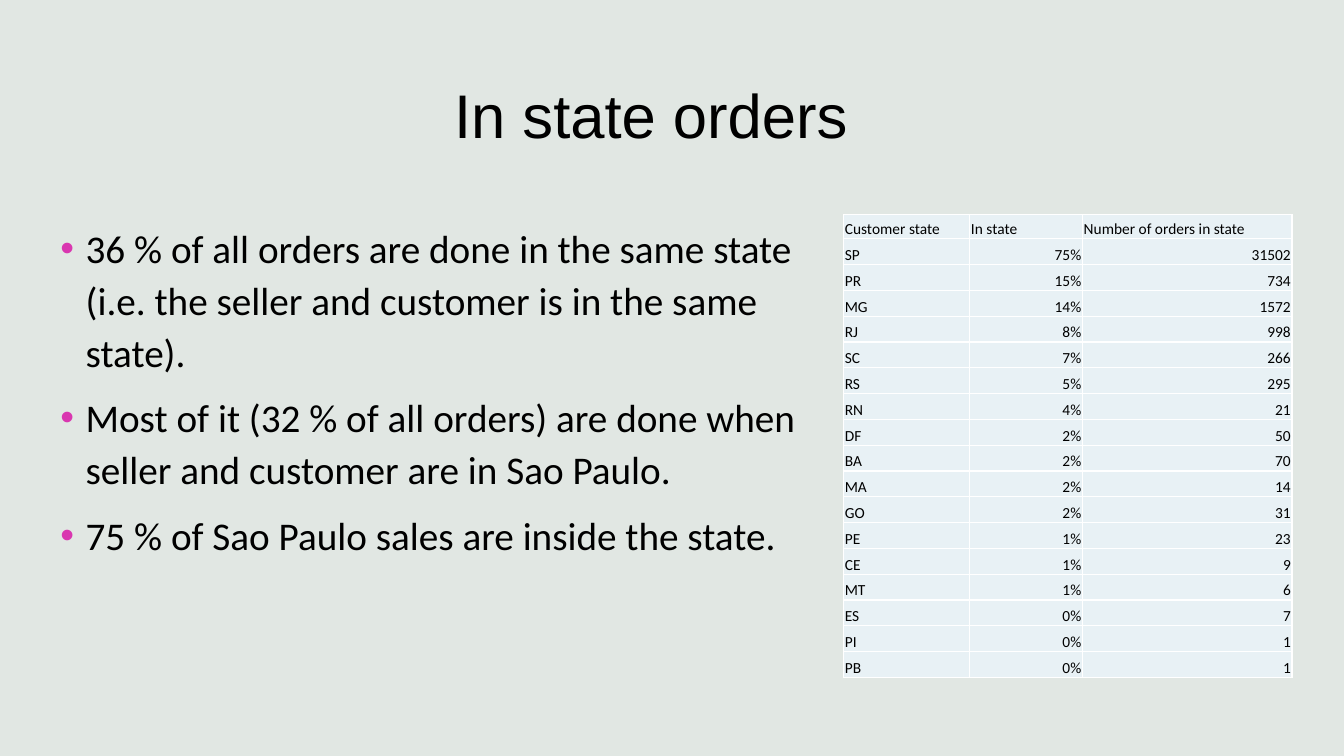
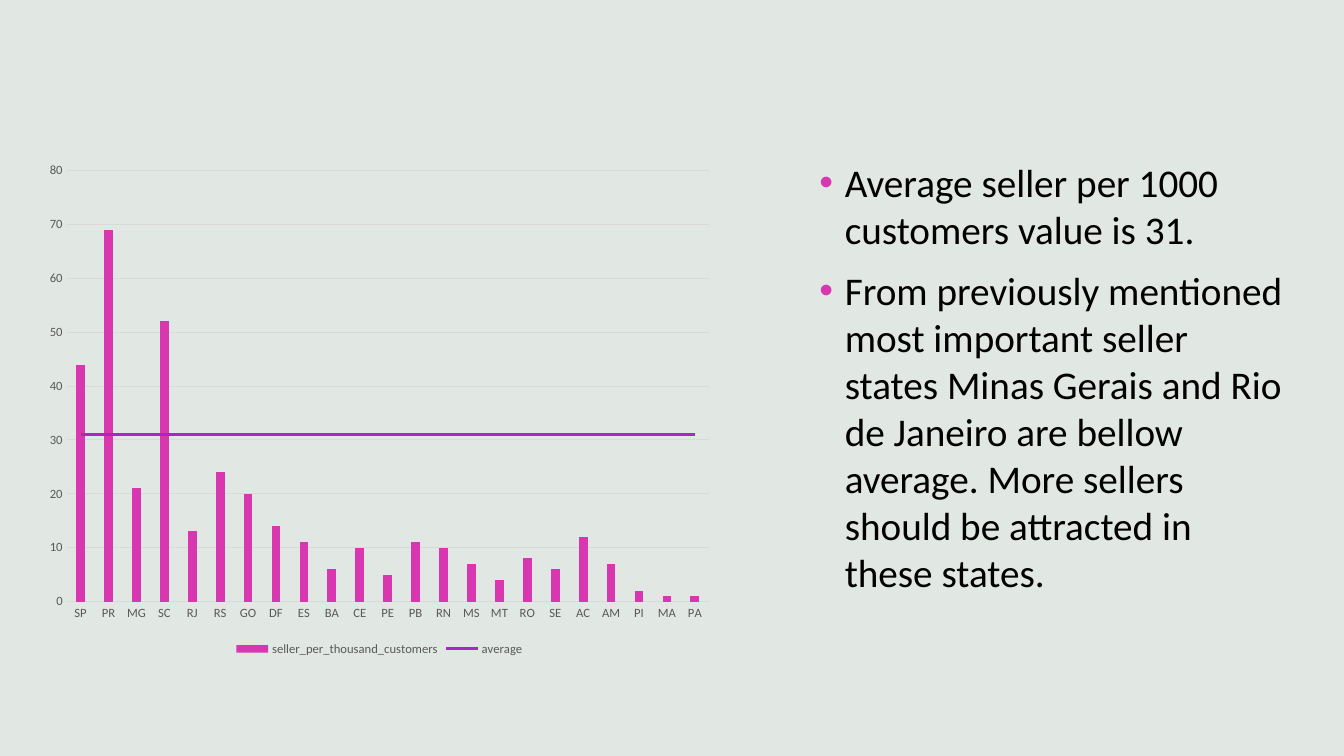
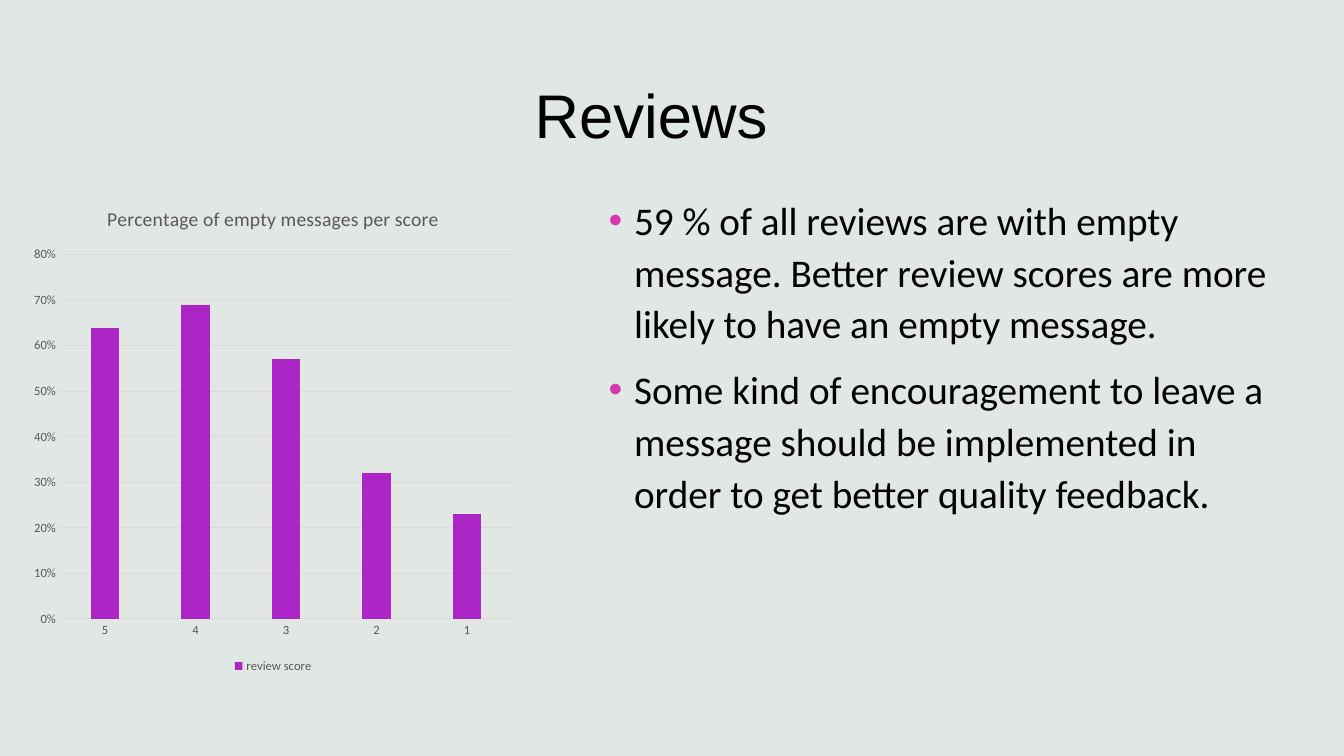
"""Build three slides on in-state orders, sellers per customer and reviews."""
from lxml.etree import SubElement
from pptx import Presentation
from pptx.chart.data import CategoryChartData
from pptx.dml.color import RGBColor
from pptx.enum.chart import XL_CHART_TYPE, XL_LEGEND_POSITION, XL_MARKER_STYLE, XL_TICK_MARK
from pptx.enum.text import MSO_ANCHOR, PP_ALIGN
from pptx.oxml import parse_xml
from pptx.oxml.ns import nsdecls, qn
from pptx.util import Cm, Pt

HUES = {"back": "E1E7E3", "ink": "000000", "pink": "D937B0", "plum": "AC25C7",
        "gray": "595959", "grid": "D9D9D9", "cell": "E8F1F5", "edge": "FFFFFF"}
RGB = {name: RGBColor.from_string(code) for name, code in HUES.items()}

HEAD = {"frame": {"word_wrap": True, "vertical_anchor": MSO_ANCHOR.MIDDLE},
        "para": {"alignment": PP_ALIGN.CENTER},
        "font": {"name": "Arial", "size": Pt(44)}}
BODY = {"frame": {"word_wrap": True, "vertical_anchor": MSO_ANCHOR.TOP},
        "para": {"space_before": Pt(10), "line_spacing": 1.1},
        "font": {"name": "Calibri", "size": Pt(28)}, "mark": "pink"}
TIGHT = BODY | {"para": {"space_before": Pt(10), "line_spacing": 1.0}}
CELL = {"vertical_anchor": MSO_ANCHOR.BOTTOM, "margin_left": Cm(0.03),
        "margin_right": Cm(0.03), "margin_top": Cm(0.03), "margin_bottom": Cm(0)}
TITLE = (1.27, 1.02, 30.28, 3.68)


def write(slide, box, lines, look):
    frame = slide.shapes.add_textbox(*map(Cm, box)).text_frame
    for key, value in look["frame"].items():
        setattr(frame, key, value)
    frame.text = "\n".join(lines)
    for para in frame.paragraphs:
        for key, value in look["para"].items():
            setattr(para, key, value)
        font = para.runs[0].font
        for key, value in look["font"].items():
            setattr(font, key, value)
        font.color.rgb = RGB["ink"]
        if "mark" in look:
            props = para._p.get_or_add_pPr()
            props.set("marL", str(Cm(0.64)))
            props.set("indent", str(-Cm(0.64)))
            tint = SubElement(props, qn("a:buClr"))
            SubElement(tint, qn("a:srgbClr"), val=HUES[look["mark"]])
            SubElement(props, qn("a:buFont"), typeface="Arial")
            SubElement(props, qn("a:buChar"), char="•")


def draw(slide, box, cats, rows, hue, form):
    data = CategoryChartData(number_format=form)
    data.categories = cats
    for name, values in rows:
        data.add_series(name, values)
    chart = slide.shapes.add_chart(
        XL_CHART_TYPE.COLUMN_CLUSTERED, *map(Cm, box), data).chart
    chart.has_title = False
    chart.has_legend = True
    chart.legend.position = XL_LEGEND_POSITION.BOTTOM
    chart.legend.include_in_layout = False
    chart.font.name, chart.font.size = "Calibri", Pt(10)
    cat, val = chart.category_axis, chart.value_axis
    for axis in (cat, val):
        axis.major_tick_mark = axis.minor_tick_mark = XL_TICK_MARK.NONE
    for font in (cat.tick_labels.font, val.tick_labels.font, chart.legend.font):
        font.name, font.size = "Calibri", Pt(9)
        font.color.rgb = RGB["gray"]
    val.has_major_gridlines = True
    for line in (cat.format.line, val.major_gridlines.format.line):
        line.width = Pt(0.75)
        line.color.rgb = RGB["grid"]
    val.format.line.fill.background()
    val.tick_labels.number_format = form
    val.tick_labels.number_format_is_linked = False
    bars = chart.plots[0]
    bars.vary_by_categories = False
    bars.gap_width, bars.overlap = 219, -27
    fill = bars.series[0].format.fill
    fill.solid()
    fill.fore_color.rgb = RGB[hue]
    return chart


deck = Presentation()
deck.slide_width, deck.slide_height = Cm(33.87), Cm(19.05)
back = deck.slide_master.background.fill
back.solid()
back.fore_color.rgb = RGB["back"]
blank = deck.slide_layouts[6]

slide = deck.slides.add_slide(blank)
write(slide, TITLE, ["In state orders"], HEAD)
write(slide, (1.27, 5.41, 19.38, 11.66), [
    "36 % of all orders are done in the same state (i.e. the seller and customer is in the same state).",
    "Most of it (32 % of all orders) are done when seller and customer are in Sao Paulo.",
    "75 % of Sao Paulo sales are inside the state."], BODY)
orders = [
    ("Customer state", "In state", "Number of orders in state"),
    ("SP", "75%", "31502"), ("PR", "15%", "734"), ("MG", "14%", "1572"),
    ("RJ", "8%", "998"), ("SC", "7%", "266"), ("RS", "5%", "295"),
    ("RN", "4%", "21"), ("DF", "2%", "50"), ("BA", "2%", "70"),
    ("MA", "2%", "14"), ("GO", "2%", "31"), ("PE", "1%", "23"),
    ("CE", "1%", "9"), ("MT", "1%", "6"), ("ES", "0%", "7"),
    ("PI", "0%", "1"), ("PB", "0%", "1")]
table = slide.shapes.add_table(
    len(orders), 3, Cm(21.26), Cm(5.41), Cm(11.3), Cm(11.66)).table
table.first_row = table.horz_banding = False
for col, width in zip(table.columns, (3.18, 2.84, 5.28)):
    col.width = Cm(width)
for r, row in enumerate(orders):
    table.rows[r].height = Cm(0.65 if r else 0.61)
    for c, text in enumerate(row):
        cell = table.cell(r, c)
        for key, value in CELL.items():
            setattr(cell, key, value)
        cell.text = text
        para = cell.text_frame.paragraphs[0]
        para.alignment = PP_ALIGN.RIGHT if r and c else PP_ALIGN.LEFT
        font = para.runs[0].font
        font.name, font.size = "Calibri", Pt(11)
        font.color.rgb = RGB["ink"]
        props = cell._tc.get_or_add_tcPr()
        for side in ("lnL", "lnR", "lnT", "lnB"):
            edge = SubElement(props, qn(f"a:{side}"), w=str(Pt(1)))
            paint = SubElement(edge, qn("a:solidFill"))
            SubElement(paint, qn("a:srgbClr"), val=HUES["edge"])
        cell.fill.solid()
        cell.fill.fore_color.rgb = RGB["cell"]

slide = deck.slides.add_slide(blank)
write(slide, (20.4, 3.86, 12.22, 13.21), [
    "Average seller per 1000 customers value is 31.",
    "From previously mentioned most important seller states Minas Gerais and Rio de Janeiro "
    "are bellow average. More sellers should be attracted in these states."], TIGHT)
states = "SP PR MG SC RJ RS GO DF ES BA CE PE PB RN MS MT RO SE AC AM PI MA PA".split()
rates = [44, 69, 21, 52, 13, 24, 20, 14, 11, 6, 10, 5, 11, 10, 7, 4, 8, 6, 12, 7, 2, 1, 1]
chart = draw(slide, (0.91, 3.86, 17.3, 12.78), states,
             [("seller_per_thousand_customers", rates), ("average", [31] * len(states))],
             "pink", "General")
bars = chart.plots[0]._element
mean = bars.findall(qn("c:ser"))[1]
for flag in mean.findall(qn("c:invertIfNegative")):
    mean.remove(flag)
group = parse_xml(f'<c:lineChart {nsdecls("c")}><c:grouping val="standard"/>'
                  '<c:varyColors val="0"/></c:lineChart>')
group.append(mean)
SubElement(group, qn("c:marker"), val="1")
for axis in bars.findall(qn("c:axId")):
    SubElement(group, qn("c:axId"), val=axis.get("val"))
bars.addnext(group)
mean = chart.plots[1].series[0]
mean.smooth = False
mean.marker.style = XL_MARKER_STYLE.NONE
mean.format.line.width = Pt(2.25)
mean.format.line.color.rgb = RGB["plum"]

slide = deck.slides.add_slide(blank)
write(slide, TITLE, ["Reviews"], HEAD)
write(slide, (15.09, 4.7, 17.5, 12.37), [
    "59 % of all reviews are with empty message. Better review scores are more likely "
    "to have an empty message.",
    "Some kind of encouragement to leave a message should be implemented in order to get "
    "better quality feedback."], BODY)
chart = draw(slide, (0.61, 4.7, 12.55, 12.37), list("54321"),
             [("review score", [0.64, 0.69, 0.57, 0.32, 0.23])], "plum", "0%")
chart.has_title = True
chart.chart_title.include_in_layout = False
frame = chart.chart_title.text_frame
frame.text = "Percentage of empty messages per score"
font = frame.paragraphs[0].runs[0].font
font.name, font.size, font.bold = "Calibri", Pt(14), False
font.color.rgb = RGB["gray"]

deck.save("out.pptx")
